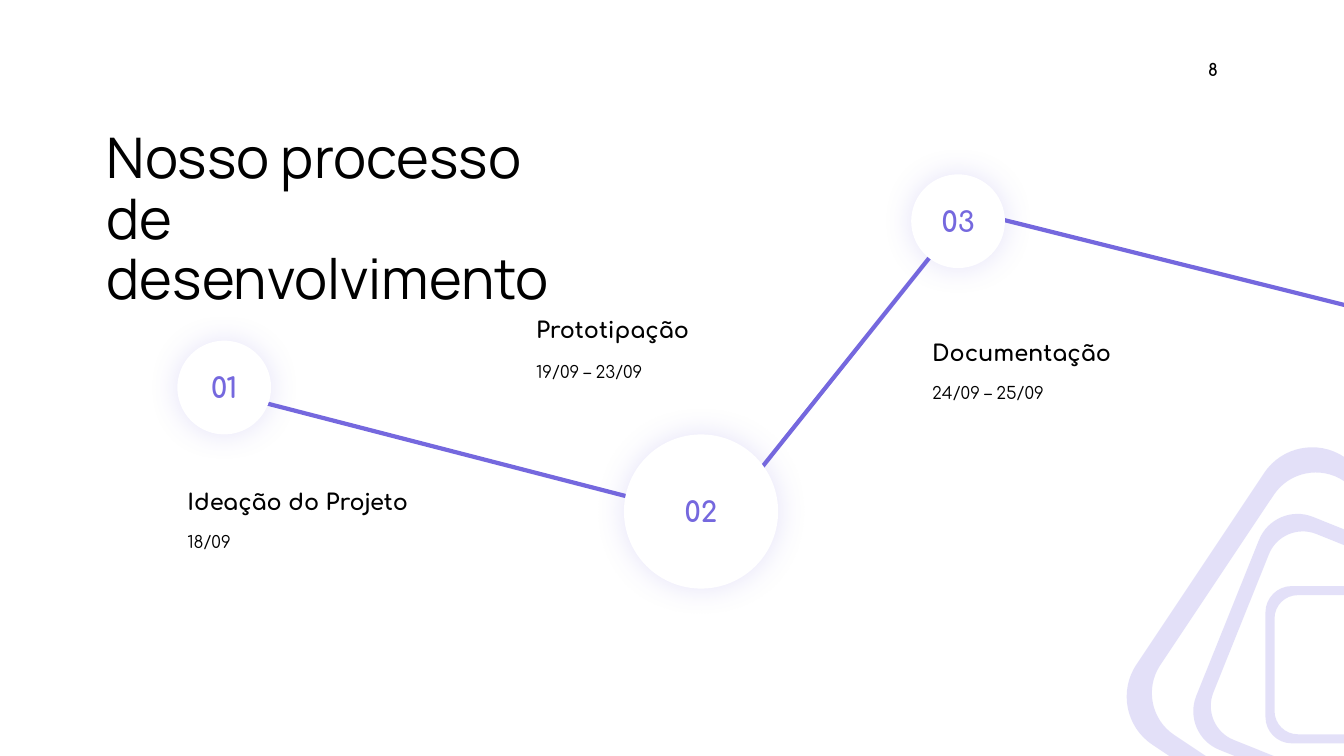
import math

from lxml import etree
from pptx import Presentation
from pptx.dml.color import RGBColor
from pptx.enum.shapes import MSO_CONNECTOR, MSO_SHAPE
from pptx.enum.text import MSO_ANCHOR, MSO_AUTO_SIZE, PP_ALIGN
from pptx.oxml.ns import qn
from pptx.util import Inches, Pt

VIOLET = RGBColor(0x75, 0x68, 0xDE)
BLACK = RGBColor(0, 0, 0)
WHITE = RGBColor(0xFF, 0xFF, 0xFF)
TITLE_FONT, BODY_FONT = "Manrope", "Comfortaa"
STRAIGHT = MSO_CONNECTOR.STRAIGHT
OVAL = MSO_SHAPE.OVAL
MIDDLE = MSO_ANCHOR.MIDDLE
GROW = MSO_AUTO_SIZE.SHAPE_TO_FIT_TEXT
FIXED = MSO_AUTO_SIZE.NONE
TITLE_ONLY = 5

# Line ends: x1, y1, x2, y2; the first one runs off the right edge.
LINKS = [
    (17.12, 3.97, 9.55, 2.08),
    (9.33, 2.42, 7.38, 4.86),
    (2.56, 3.98, 6.32, 4.95),
]
# Number, left, top, diameter
CIRCLES = [("01", 1.76, 3.38, 0.93), ("02", 6.19, 4.31, 1.53), ("03", 9.04, 1.73, 0.93)]
# Heading, dates, left, heading top, dates top
STAGES = [
    ("Ideação do Projeto", "18/09", 1.76, 4.79, 5.14),
    ("Prototipação", "19/09 – 23/09", 5.22, 3.08, 3.45),
    ("Documentação", "24/09 – 25/09", 9.15, 3.31, 3.66),
]
RINGS_LEFT, RINGS_TOP, RINGS_SIZE = 11.17, 4.43, 4.33
UNITS = 1000  # outline units per inch
# Turn in degrees, side, corner radius: outer and inner edge of each ring
RING_EDGES = [
    (0, 1.56, 0.26), (0, 1.38, 0.23),
    (21.9, 2.49, 0.41), (21.9, 2.2, 0.36),
    (33.7, 3.43, 0.57), (33.7, 3.03, 0.5),
]
ARC_HANDLE = 0.55  # handle length of a quarter circle, as a share of its radius


def set_font(para, name, size, color, bold=False):
    font = para.font
    font.name, font.size, font.bold = name, Pt(size), bold
    font.color.rgb = color


def add_alpha(color_element, percent):
    etree.SubElement(color_element, qn("a:alpha"), val=str(percent * 1000))


def add_text(slide, text, left, top, width, height, size, align, bold=False, spacing=None):
    box = slide.shapes.add_textbox(Inches(left), Inches(top), Inches(width), Inches(height))
    frame = box.text_frame
    frame.word_wrap, frame.auto_size, frame.vertical_anchor = True, GROW, MIDDLE
    para = frame.paragraphs[0]
    para.text, para.alignment = text, align
    if spacing:
        para.line_spacing = spacing
    set_font(para, BODY_FONT, size, BLACK, bold)


def add_title(slide, text):
    title = slide.shapes.title
    title.left, title.top = Inches(0.96), Inches(1.49)
    title.width, title.height = Inches(4.99), Inches(1.41)
    frame = title.text_frame
    frame.word_wrap, frame.auto_size, frame.vertical_anchor = True, FIXED, MIDDLE
    para = frame.paragraphs[0]
    para.text, para.alignment, para.line_spacing = text, PP_ALIGN.LEFT, 0.9
    set_font(para, TITLE_FONT, 40, BLACK)


def add_link(slide, *ends):
    link = slide.shapes.add_connector(STRAIGHT, *[Inches(end) for end in ends])
    link.line.color.rgb = VIOLET
    link.line.width = Pt(3)
    etree.SubElement(link._element.spPr, qn("a:effectLst"))


def add_circle(slide, number, left, top, diameter):
    """Draw a white numbered circle with a soft violet glow around it."""
    circle = slide.shapes.add_shape(
        OVAL, Inches(left), Inches(top), Inches(diameter), Inches(diameter))
    circle.fill.solid()
    circle.fill.fore_color.rgb = WHITE
    circle.line.fill.background()
    circle.shadow.inherit = False
    effects = circle._element.spPr.find(qn("a:effectLst"))
    glow = etree.SubElement(effects, qn("a:outerShdw"), blurRad=str(Pt(21)), dist="0",
                            dir="0", algn="ctr", rotWithShape="0")
    add_alpha(etree.SubElement(glow, qn("a:srgbClr"), val=str(VIOLET)), 18)
    frame = circle.text_frame
    frame.margin_left = frame.margin_right = 0
    frame.vertical_anchor = MIDDLE
    para = frame.paragraphs[0]
    para.text, para.alignment = number, PP_ALIGN.CENTER
    set_font(para, BODY_FONT, 20, VIOLET, bold=True)


def add_step(outline, kind, points=()):
    step = etree.SubElement(outline, qn(f"a:{kind}"))
    for x, y in points:
        etree.SubElement(step, qn("a:pt"), x=str(round(x * UNITS)), y=str(round(y * UNITS)))


def add_rounded_square(outline, turn, side, radius, backwards):
    """Add a turned square with curved corners; an inner edge runs backwards."""
    half = side / 2
    straight = half - radius
    handle = straight + ARC_HANDLE * radius
    corner = [(half, straight), (half, handle), (handle, half), (straight, half)]
    corners = []
    for quarter in range(4):
        angle = math.radians(turn + 90 * quarter)
        cos, sin = math.cos(angle), math.sin(angle)
        corners.append([(RINGS_SIZE / 2 + x * cos - y * sin, RINGS_SIZE / 2 + x * sin + y * cos)
                        for x, y in corner])
    if backwards:
        corners = [points[::-1] for points in corners[::-1]]
    for index, (start, *curve) in enumerate(corners):
        add_step(outline, "lnTo" if index else "moveTo", [start])
        add_step(outline, "cubicBezTo", curve)
    add_step(outline, "close")


def add_rings(slide):
    """Draw the nested rings as one shape, with curves in place of its frame's lines."""
    left, top = RINGS_LEFT * UNITS, RINGS_TOP * UNITS
    right, bottom = left + RINGS_SIZE * UNITS, top + RINGS_SIZE * UNITS
    builder = slide.shapes.build_freeform(left, top, scale=Inches(1) / UNITS)
    builder.add_line_segments([(right, top), (right, bottom), (left, bottom)])
    rings = builder.convert_to_shape()
    outline = next(rings._element.iter(qn("a:path")))
    for step in list(outline):
        outline.remove(step)
    for index, edge in enumerate(RING_EDGES):
        add_rounded_square(outline, *edge, backwards=index % 2 == 1)
    rings.fill.solid()
    rings.fill.fore_color.rgb = VIOLET
    add_alpha(rings._element.spPr.find(qn("a:solidFill"))[0], 20)
    rings.line.fill.background()
    rings.shadow.inherit = False


def main():
    deck = Presentation()
    deck.slide_width, deck.slide_height = Inches(40 / 3), Inches(7.5)
    slide = deck.slides.add_slide(deck.slide_layouts[TITLE_ONLY])

    add_text(slide, "8", 11.46, 0.54, 0.72, 0.3, 12, PP_ALIGN.RIGHT, bold=True)
    for link in LINKS:
        add_link(slide, *link)
    add_title(slide, "Nosso processo de desenvolvimento")
    for circle in CIRCLES:
        add_circle(slide, *circle)
    for heading, dates, left, heading_top, dates_top in STAGES:
        add_text(slide, dates, left, dates_top, 2.81, 0.37, 12, PP_ALIGN.JUSTIFY, spacing=1.5)
        add_text(slide, heading, left, heading_top, 2.81, 0.37, 16, PP_ALIGN.JUSTIFY, bold=True)
    add_rings(slide)

    deck.save("out.pptx")


if __name__ == "__main__":
    main()
